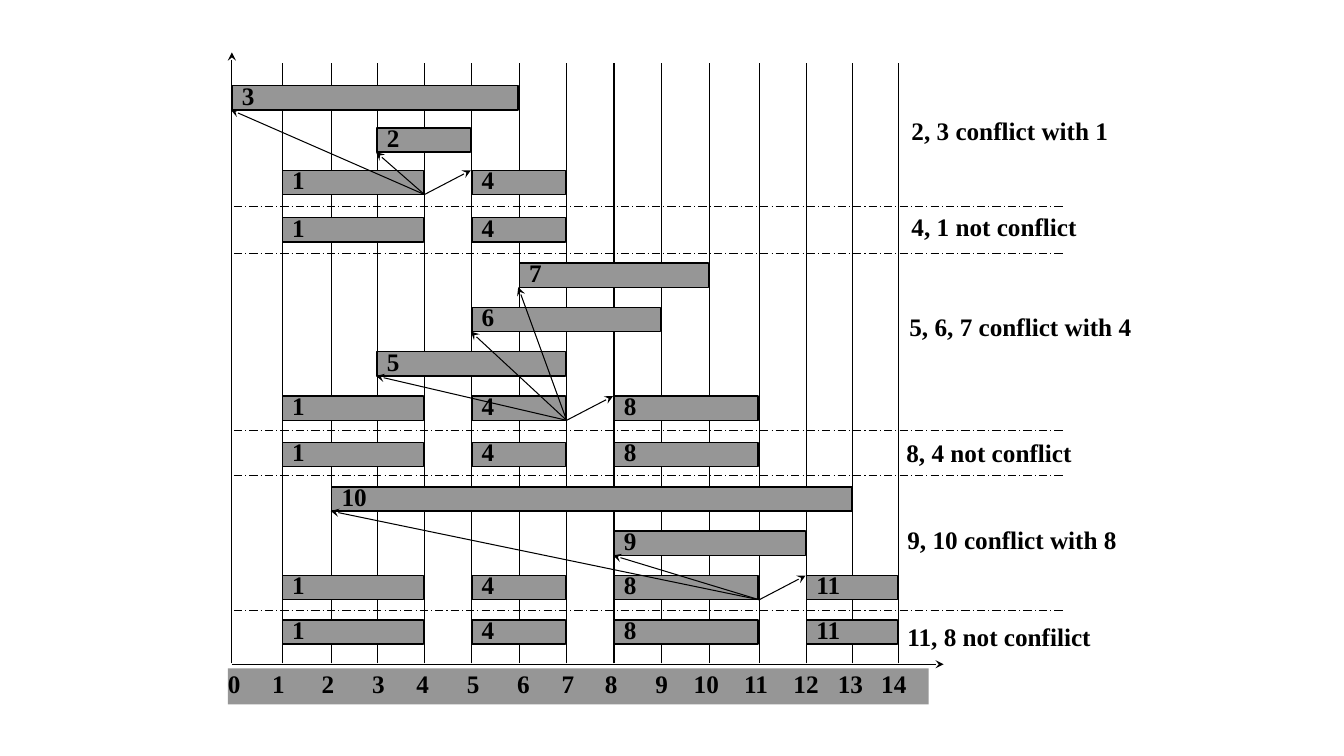
import pptx
import pptx.dml.color
import pptx.enum.dml
import pptx.enum.shapes
import pptx.enum.text
import pptx.oxml
import pptx.oxml.ns
import pptx.util
from pptx.util import Inches

BLACK = pptx.dml.color.RGBColor(0x00, 0x00, 0x00)
GREY = pptx.dml.color.RGBColor(0x96, 0x96, 0x96)
FONT = "Times New Roman"
BAR_HEIGHT = 0.24
TICK_OFFSETS = [0, 0.5, 0.99, 1.44, 1.91, 2.38, 2.85, 3.32, 3.79,
                4.26, 4.74, 5.23, 5.7, 6.16, 6.61]
LABEL_TABS = [0.44, 0.93, 1.43, 1.87, 2.37, 2.87, 3.31, 3.74,
              4.24, 4.62, 5.12, 5.61, 6.05, 6.48]
JOBS = {
    1: (1, 4), 2: (3, 5), 3: (0, 6), 4: (5, 7), 5: (3, 7), 6: (5, 9),
    7: (6, 10), 8: (8, 11), 9: (8, 12), 10: (2, 13), 11: (12, 14),
}
# top, row pitch, rows of jobs, bottom divider, note, note left, note top
STAGES = [
    (0.85, 0.42, [[3], [2], [1, 4]], 2.05, "2, 3 conflict with 1", 9.04, 1.16),
    (2.16, 0, [[1, 4]], 2.52, "4, 1 not conflict", 9.04, 2.12),
    (2.61, 0.44, [[7], [6], [5], [1, 4, 8]], 4.27, "5, 6, 7 conflict with 4", 9.02, 3.11),
    (4.39, 0, [[1, 4, 8]], 4.72, "8, 4 not conflict", 8.99, 4.36),
    (4.83, 0.44, [[10], [9], [1, 4, 8, 11]], 6.06, "9, 10 conflict with 8", 9, 5.22),
    (6.15, 0, [[1, 4, 8, 11]], None, "11, 8 not confilict", 9, 6.18),
]


def add_line(slide, start, end, arrow=False, dashed=False):
    line = slide.shapes.add_connector(
        pptx.enum.shapes.MSO_CONNECTOR.STRAIGHT,
        Inches(start[0]), Inches(start[1]), Inches(end[0]), Inches(end[1]))
    line.line.color.rgb = BLACK
    line.line.width = pptx.util.Pt(0.75)
    if dashed:
        line.line.dash_style = pptx.enum.dml.MSO_LINE.LONG_DASH_DOT
    properties = line._element.spPr
    if arrow:
        outline = properties.find(pptx.oxml.ns.qn("a:ln"))
        outline.append(pptx.oxml.parse_xml(
            f'<a:tailEnd {pptx.oxml.ns.nsdecls("a")} type="stealth"/>'))
    properties.append(pptx.oxml.parse_xml(
        f'<a:effectLst {pptx.oxml.ns.nsdecls("a")}/>'))


def write_text(shape, text, side_inset=0, spacing=None, tabs=()):
    frame = shape.text_frame
    frame.word_wrap = True
    frame.vertical_anchor = pptx.enum.text.MSO_ANCHOR.TOP
    frame.margin_left = frame.margin_right = Inches(side_inset)
    frame.margin_top = frame.margin_bottom = 0
    paragraph = frame.paragraphs[0]
    paragraph.alignment = pptx.enum.text.PP_ALIGN.LEFT
    if spacing:
        paragraph.line_spacing = spacing
    if tabs:
        stops = "".join(f'<a:tab pos="{Inches(tab)}" algn="l"/>' for tab in tabs)
        paragraph._p.get_or_add_pPr().append(pptx.oxml.parse_xml(
            f'<a:tabLst {pptx.oxml.ns.nsdecls("a")}>{stops}</a:tabLst>'))
    run = paragraph.add_run()
    run.text = text
    run.font.name = FONT
    run.font.size = pptx.util.Pt(18)
    run.font.bold = True
    run.font.color.rgb = BLACK


def add_box(slide, left, top, width, height, outlined):
    box = slide.shapes.add_shape(
        pptx.enum.shapes.MSO_SHAPE.RECTANGLE,
        Inches(left), Inches(top), Inches(width), Inches(height))
    box.shadow.inherit = False
    box.fill.solid()
    box.fill.fore_color.rgb = GREY
    if outlined:
        box.line.color.rgb = BLACK
        box.line.width = pptx.util.Pt(1)
    else:
        box.line.fill.background()
    return box


def add_time_axis(slide, left, top, width, height):
    bottom = top + height
    scale = add_box(slide, left - 0.04, bottom + 0.05, 6.95, 0.36, False)
    write_text(scale, "\t".join(str(time) for time in range(len(TICK_OFFSETS))),
               tabs=LABEL_TABS)
    add_line(slide, (left, bottom), (left, top), arrow=True)
    add_line(slide, (left, bottom + 0.01), (left + width, bottom + 0.01), arrow=True)
    for offset in TICK_OFFSETS[1:]:
        add_line(slide, (left + offset, bottom), (left + offset, top + 0.11))


def add_stage(slide, left, top, pitch, rows):
    def tick(time):
        return left + TICK_OFFSETS[time]

    for index, row in enumerate(rows):
        for job in row:
            start, finish = JOBS[job]
            bar = add_box(slide, tick(start), top + index * pitch,
                          tick(finish) - tick(start) - 0.01, BAR_HEIGHT, True)
            write_text(bar, str(job), side_inset=0.1, spacing=0.8)
    if len(rows) == 1:
        return
    accepted, following = rows[-1][-2:]
    last_top = top + (len(rows) - 1) * pitch
    origin = (tick(JOBS[accepted][1]), last_top + BAR_HEIGHT)
    for index, (conflicting,) in enumerate(rows[:-1]):
        corner = (tick(JOBS[conflicting][0]) - 0.01, top + index * pitch + BAR_HEIGHT)
        add_line(slide, origin, corner, arrow=True)
    add_line(slide, origin, (tick(JOBS[following][0]) - 0.01, last_top), arrow=True)


def add_note(slide, left, top, width, height, text):
    note = slide.shapes.add_textbox(
        Inches(left), Inches(top), Inches(width), Inches(height))
    write_text(note, text, spacing=0.96)


def main():
    deck = pptx.Presentation()
    deck.slide_width = Inches(13.33)
    deck.slide_height = Inches(7.5)
    slide = deck.slides.add_slide(deck.slide_layouts[6])
    axis_left = 2.3
    add_time_axis(slide, axis_left, 0.52, 7.06, 6.06)
    for top, pitch, rows, divider, note, note_left, note_top in STAGES:
        add_stage(slide, axis_left, top, pitch, rows)
        if divider:
            add_line(slide, (axis_left + 0.02, divider),
                     (axis_left + 8.24, divider), dashed=True)
        add_note(slide, note_left, note_top, 2.4, 0.35, note)
    deck.save("out.pptx")


if __name__ == "__main__":
    main()
